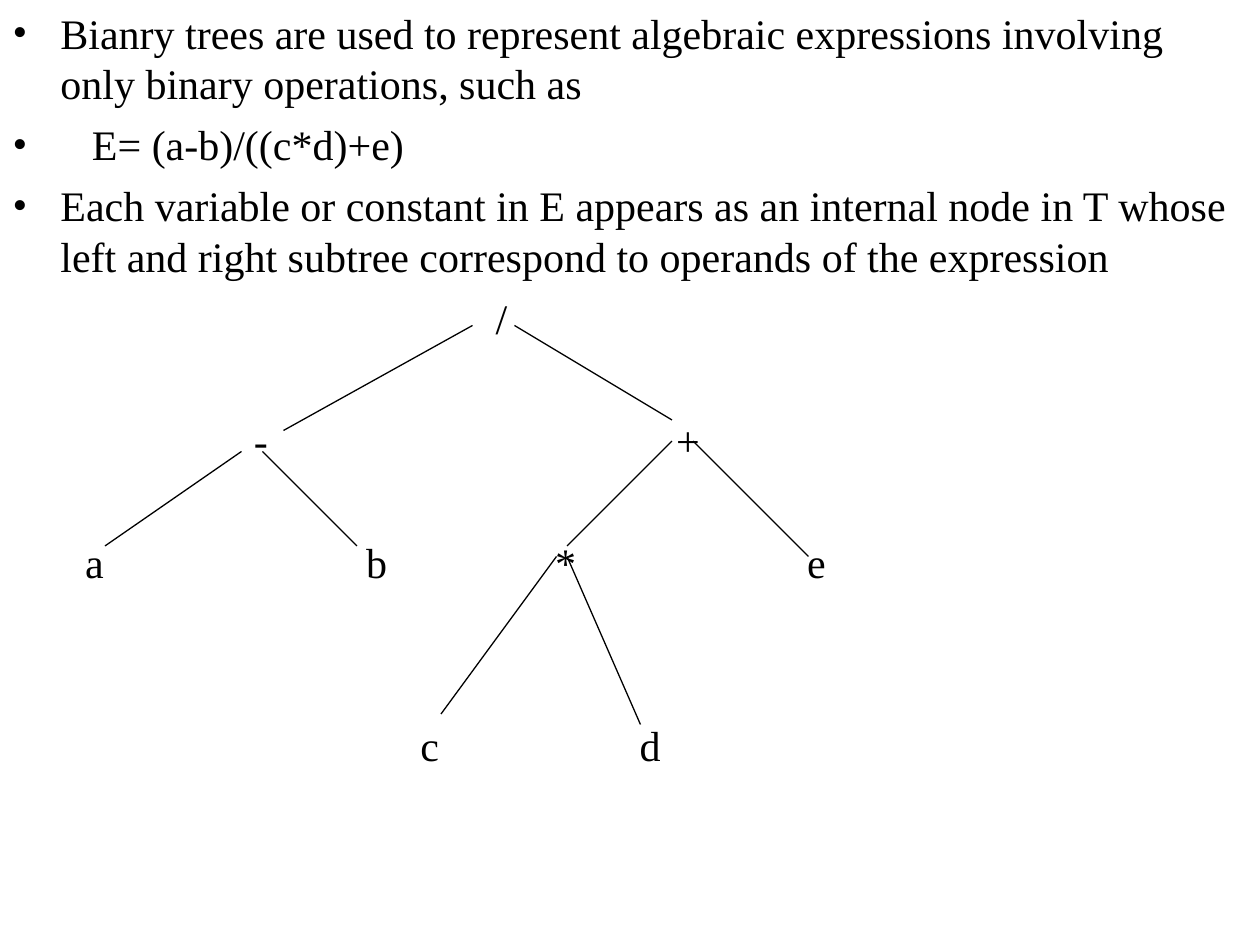
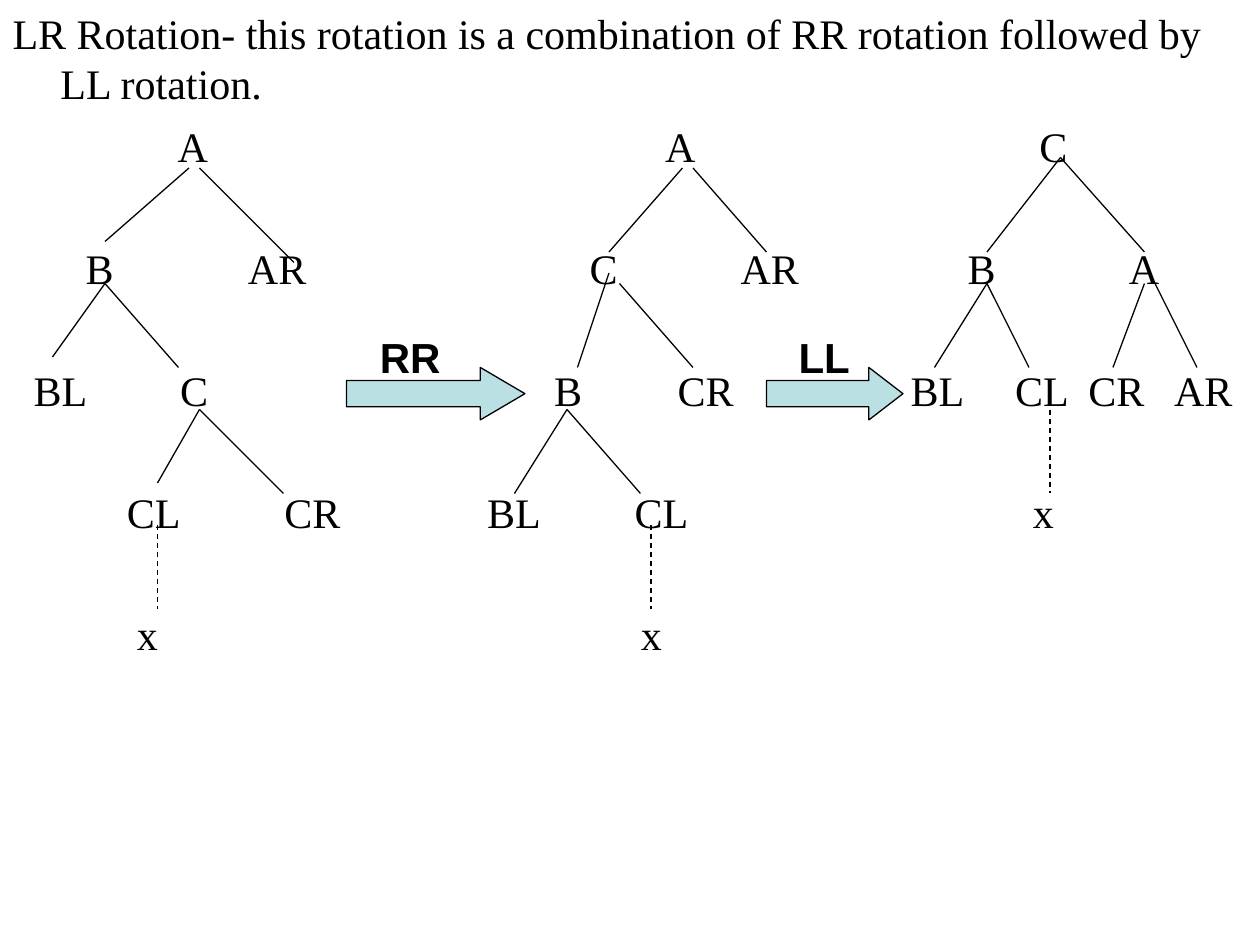
from lxml.etree import SubElement
from pptx import Presentation
from pptx.dml.color import RGBColor
from pptx.enum.dml import MSO_LINE_DASH_STYLE as Dash
from pptx.enum.shapes import MSO_CONNECTOR as Connector, MSO_SHAPE as Shape
from pptx.enum.text import MSO_ANCHOR as Anchor, MSO_AUTO_SIZE as AutoSize, PP_ALIGN as Align
from pptx.oxml.ns import qn
from pptx.util import Inches, Pt

BLACK = RGBColor(0x00, 0x00, 0x00)
PALE_TEAL = RGBColor(0xBB, 0xE0, 0xE3)
SERIF, SANS = "Times New Roman", "Arial"
TEXT_SIZE = Pt(24)
LINE_WIDTH = Pt(0.75)
HANGING = 0.38            # text indent of the body, inches
ROW = 0.484               # height of one text row, inches
GRID = Inches(1) // 12    # edges and arrows sit on a grid of twelfths of an inch
LABEL_WIDTH, LABEL_HEIGHT = 0.7, 0.4

# Body paragraphs: text, left indent, bulleted
EXPRESSION_TEXT = [
    ("Bianry trees are used to represent algebraic expressions involving "
     "only binary operations, such as", HANGING, True),
    ("E= (a-b)/((c*d)+e)", 0.63, True),
    ("Each variable or constant in E appears as an internal node in T whose "
     "left and right subtree correspond to operands of the expression", HANGING, True),
]
ROTATION_TEXT = [
    ("LR Rotation- this rotation is a combination of RR rotation followed by "
     "LL rotation.", HANGING, False),
]

# Tree nodes: text row below the root -> (label, centre in inches)
EXPRESSION_NODES = {
    0: [("/", 3.98)],
    2: [("-", 2.07), ("+", 5.46)],
    4: [("a", 0.75), ("b", 2.99), ("*", 4.49), ("e", 6.48)],
    7: [("c", 3.41), ("d", 5.16)],
}
ROTATION_NODES = {
    0: [("A", 1.53), ("A", 5.4), ("C", 8.36)],
    2: [("B", 0.79), ("AR", 2.2), ("C", 4.79), ("AR", 6.11), ("B", 7.79), ("A", 9.08)],
    4: [("BL", 0.48), ("C", 1.54), ("B", 4.51), ("CR", 5.6),
        ("BL", 7.44), ("CL", 8.27), ("CR", 8.86), ("AR", 9.55)],
    6: [("CL", 1.22), ("CR", 2.48), ("BL", 4.08), ("CL", 5.25), ("x", 8.28)],
    8: [("x", 1.17), ("x", 5.17)],
}

# Tree edges: x1, y1, x2, y2 in grid units
EXPRESSION_EDGES = [
    (45, 31, 27, 41), (49, 31, 64, 40), (23, 43, 10, 52), (25, 43, 34, 52),
    (64, 42, 54, 52), (66, 42, 77, 53), (53, 53, 42, 68), (54, 53, 61, 69),
]
ROTATION_EDGES = [
    # Unbalanced tree
    (18, 16, 10, 23), (19, 16, 28, 25), (10, 27, 5, 34),
    (10, 27, 17, 35), (19, 39, 15, 46), (19, 39, 27, 47),
    # After the RR step
    (65, 16, 58, 24), (66, 16, 73, 24), (58, 26, 55, 35),
    (59, 27, 66, 35), (54, 39, 49, 47), (54, 39, 61, 47),
    # After the LL step
    (101, 15, 94, 24), (101, 15, 109, 24), (94, 27, 89, 35),
    (94, 27, 98, 35), (109, 27, 106, 35), (110, 27, 114, 35),
]
INSERTED_EDGES = [(15, 50, 15, 58), (62, 50, 62, 58), (100, 39, 100, 47)]

# Rotation steps: label, alignment, label (left, width), arrow (left, width), head length
STEPS = [
    ("RR", Align.LEFT, (35, 15), (33, 17), 0.85),
    ("LL", Align.CENTER, (72, 13), (73, 13), 0.65),
]


def add_span(para, text, font=SERIF, bold=False):
    span = para.add_run()
    span.text = text
    span.font.name, span.font.size, span.font.bold = font, TEXT_SIZE, bold
    span.font.color.rgb = BLACK


def set_indent(para, left, bulleted):
    props = para._p.get_or_add_pPr()
    props.set("marL", str(Inches(left)))
    props.set("indent", str(-Inches(left)))
    if bulleted:
        SubElement(props, qn("a:buFont")).set("typeface", SERIF)
        SubElement(props, qn("a:buChar")).set("char", "•")
    else:
        SubElement(props, qn("a:buNone"))


def add_page(deck, paragraphs):
    page = deck.slides.add_slide(deck.slide_layouts[1])
    title = page.shapes.title
    title.element.getparent().remove(title.element)
    body = page.placeholders[1]
    body.left, body.top = 0, 0
    body.width, body.height = deck.slide_width, deck.slide_height
    frame = body.text_frame
    frame.word_wrap, frame.auto_size = True, AutoSize.NONE
    frame.vertical_anchor = Anchor.TOP
    frame.margin_top = Inches(0.06)
    for number, (text, left, bulleted) in enumerate(paragraphs):
        para = frame.add_paragraph() if number else frame.paragraphs[0]
        set_indent(para, left, bulleted)
        para.line_spacing = Pt(28.8)
        para.space_before = Pt(6 if number else 0)
        add_span(para, text)
    return page


def add_label(page, text, left, top, width, height, align=Align.CENTER,
              margin=0, font=SERIF, bold=False):
    box = page.shapes.add_textbox(left, top, width, height)
    frame = box.text_frame
    frame.word_wrap = True
    frame.vertical_anchor = Anchor.MIDDLE
    frame.margin_left = frame.margin_right = margin
    frame.margin_top = frame.margin_bottom = 0
    para = frame.paragraphs[0]
    para.alignment = align
    add_span(para, text, font, bold)


def add_nodes(page, nodes, root_centre):
    for row, labels in nodes.items():
        top = root_centre + row * ROW - LABEL_HEIGHT / 2
        for text, centre in labels:
            add_label(page, text, Inches(centre - LABEL_WIDTH / 2), Inches(top),
                      Inches(LABEL_WIDTH), Inches(LABEL_HEIGHT))


def add_edges(page, edges, dash=None):
    for edge in edges:
        line = page.shapes.add_connector(Connector.STRAIGHT, *(GRID * unit for unit in edge))
        line.line.color.rgb, line.line.width = BLACK, LINE_WIDTH
        if dash:
            line.line.dash_style = dash
        SubElement(line._element.spPr, qn("a:effectLst"))


def add_step(page, text, align, label, arrow, head):
    left, width = arrow
    block = page.shapes.add_shape(Shape.RIGHT_ARROW, GRID * left, GRID * 35,
                                  GRID * width, GRID * 5)
    block.adjustments[0], block.adjustments[1] = 0.5, head
    block.shadow.inherit = False
    block.fill.solid()
    block.fill.fore_color.rgb = PALE_TEAL
    block.line.color.rgb, block.line.width = BLACK, LINE_WIDTH
    left, width = label
    add_label(page, text, GRID * left, GRID * 31, GRID * width, GRID * 6,
              align, Inches(0.1), SANS, True)


def main():
    deck = Presentation()
    deck.slide_width, deck.slide_height = Inches(10), Inches(7.5)

    # Expression tree
    page = add_page(deck, EXPRESSION_TEXT)
    add_nodes(page, EXPRESSION_NODES, 2.52)
    add_edges(page, EXPRESSION_EDGES)

    # LR rotation
    page = add_page(deck, ROTATION_TEXT)
    add_nodes(page, ROTATION_NODES, 1.16)
    add_edges(page, ROTATION_EDGES)
    add_edges(page, INSERTED_EDGES, Dash.DASH)
    for step in STEPS:
        add_step(page, *step)

    deck.save("out.pptx")


if __name__ == "__main__":
    main()
